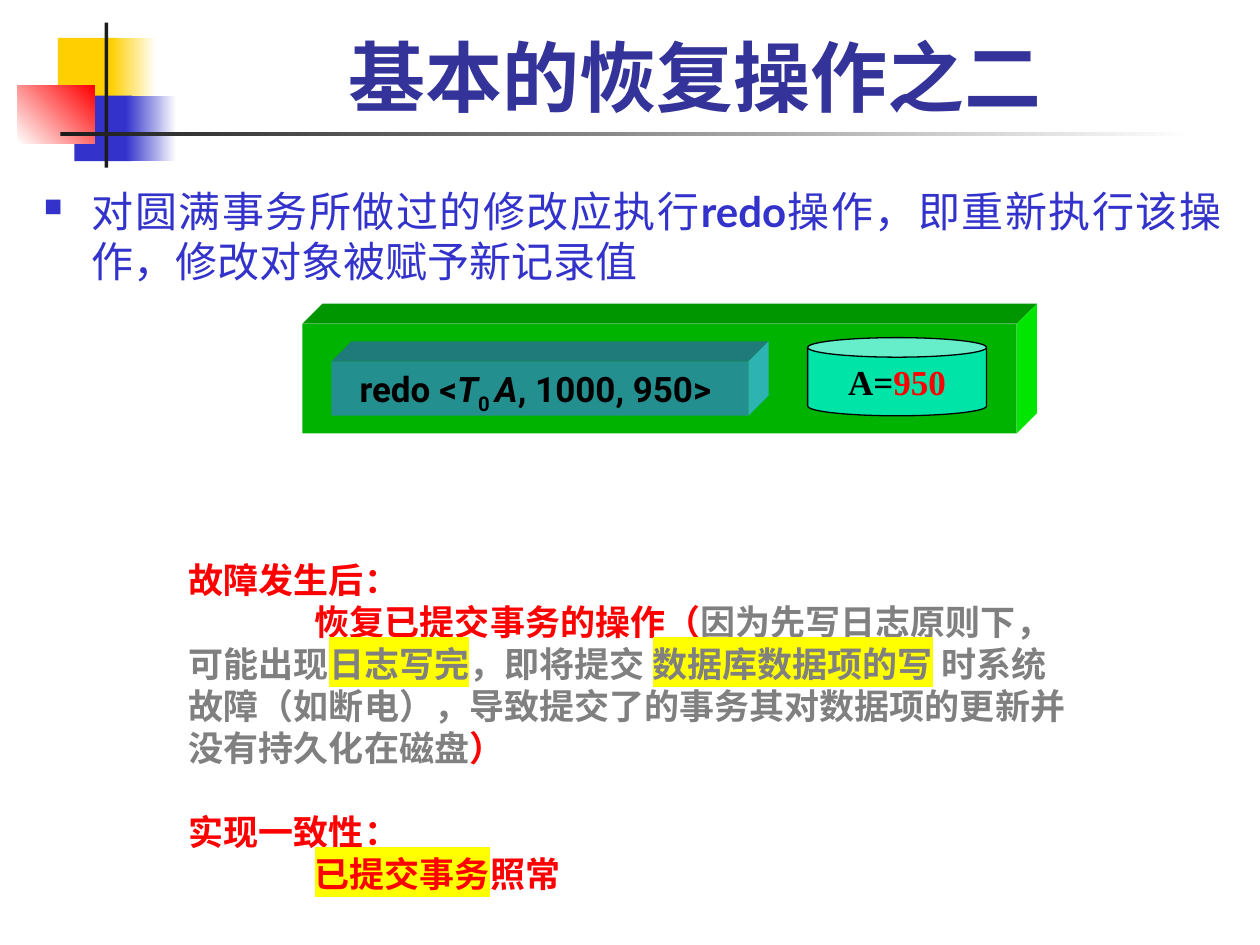
from lxml.etree import SubElement
from pptx import Presentation
from pptx.dml.color import RGBColor
from pptx.enum.shapes import MSO_SHAPE
from pptx.enum.text import MSO_ANCHOR, PP_ALIGN
from pptx.oxml.ns import qn
from pptx.util import Inches, Pt

BLUE, RED, GREY, YELLOW, BLACK = "3333CC", "FF0000", "808080", "FFFF00", "000000"
GOLD, WHITE, DARK = "FFCF01", "FFFFFF", "1C1C1C"

DECOR = [
    ((0.46, 0.3, 0.48, 0.52), GOLD),
    ((0.88, 0.3, 0.36, 0.52), (GOLD, WHITE, 0)),
    ((0.59, 0.76, 0.46, 0.52), BLUE),
    ((1, 0.76, 0.4, 0.52), (BLUE, WHITE, 0)),
    ((0.14, 0.68, 0.61, 0.46), (WHITE, RED, 45)),
    ((0.83, 0.18, 0.03, 1.15), DARK),
    ((0.48, 1.05, 9, 0.03), (DARK, WHITE, 0)),
]
TITLE = [{"runs": [("基本的恢复操作之二", {})]}]
BODY = [{"runs": [
    ("对圆满事务所做过的修改应执行", {}),
    ("redo", {"bold": True}),
    ("操作，即重新执行该操作，修改对象被赋予新记录值", {}),
], "left": 0.38, "first": -0.38, "bullet": "■"}]
REDO = [{"runs": [
    ("redo <", {}),
    ("T", {"italic": True}),
    ("0 ", {"baseline": -25}),
    ("A", {"italic": True}),
    (", 1000, 950> ", {}),
]}]
VALUE = [{"runs": [("A=", {}), ("950", {"color": RED})]}]
NOTES = [
    {"runs": [("故障发生后：", {})]},
    {"runs": [
        ("恢复已提交事务的操作（", {}),
        ("因为先写日志原则下，可能出现", {"color": GREY}),
        ("日志写完", {"color": GREY, "highlight": YELLOW}),
        ("，即将提交 ", {"color": GREY}),
        ("数据库数据项的写", {"color": GREY, "highlight": YELLOW}),
        (" 时系统故障（如断电），导致提交了的事务其对数据项的更新并没有持久化在磁盘", {"color": GREY}),
        ("）", {}),
    ], "first": 1},
    {"runs": [("实现一致性：", {})], "before": 24},
    {"runs": [("已提交事务", {"highlight": YELLOW}), ("照常", {})], "first": 1},
]
DEPTH = 0.16
BLOCKS = [
    ((2.4, 2.57, 5.67, 0.87), ("00B300", "009600", "00E600")),
    ((2.63, 2.87, 3.31, 0.43), ("248F8F", "1F7A7A", "2EB3B3")),
]


def rgb(color):
    return RGBColor.from_string(color)


def paint(sp, fill, line=None):
    sp.shadow.inherit = False
    if isinstance(fill, tuple):
        start, end, angle = fill
        sp.fill.gradient()
        sp.fill.gradient_angle = angle
        for stop, color in zip(sp.fill.gradient_stops, (start, end)):
            stop.color.rgb = rgb(color)
    else:
        sp.fill.solid()
        sp.fill.fore_color.rgb = rgb(fill)
    if line:
        sp.line.color.rgb = rgb(line)
        sp.line.width = Pt(0.75)
    else:
        sp.line.fill.background()
    return sp


def add_box(s, at, fill, kind=MSO_SHAPE.RECTANGLE, line=None):
    return paint(s.shapes.add_shape(kind, *map(Inches, at)), fill, line)


def add_face(s, points, fill):
    points = [(Inches(x), Inches(y)) for x, y in points]
    fb = s.shapes.build_freeform(*points[0])
    fb.add_line_segments(points[1:], close=True)
    return paint(fb.convert_to_shape(), fill)


def add_block(s, at, colors):
    x, y, w, h = at
    front, top, side = colors
    right, bottom, d = x + w, y + h, DEPTH
    add_face(s, [(x, y), (x + d, y - d), (right + d, y - d), (right, y)], top)
    add_face(s, [(right, y), (right + d, y - d), (right + d, bottom - d), (right, bottom)], side)
    return add_box(s, at, front)


def add_run(p, text, font, size, color, bold=False, italic=False, baseline=0, highlight=None):
    r = p.add_run()
    r.text = text
    r.font.name, r.font.size = font, Pt(size)
    r.font.bold, r.font.italic = bold, italic
    r.font.color.rgb = rgb(color)
    rPr = r.font._element
    if baseline:
        rPr.set("baseline", str(baseline * 1000))
    if highlight:
        mark = SubElement(rPr, qn("a:highlight"))
        SubElement(mark, qn("a:srgbClr")).set("val", highlight)
        rPr.find(qn("a:latin")).addprevious(mark)


def write(sp, paragraphs, align=PP_ALIGN.LEFT, anchor=MSO_ANCHOR.TOP, wrap=True, **style):
    tf = sp.text_frame
    tf.word_wrap = wrap
    tf.vertical_anchor = anchor
    for i, item in enumerate(paragraphs):
        p = tf.paragraphs[0] if i == 0 else tf.add_paragraph()
        p.alignment = align
        p.space_before = Pt(item.get("before", 0))
        pPr = p._p.get_or_add_pPr()
        pPr.set("marL", str(Inches(item.get("left", 0))))
        pPr.set("indent", str(Inches(item.get("first", 0))))
        if "bullet" in item:
            color = SubElement(pPr, qn("a:buClr"))
            SubElement(color, qn("a:srgbClr")).set("val", style["color"])
            SubElement(pPr, qn("a:buSzPct")).set("val", "60000")
            SubElement(pPr, qn("a:buChar")).set("char", item["bullet"])
        for text, own in item["runs"]:
            add_run(p, text, **{**style, **own})


def add_text(s, at, paragraphs, **style):
    write(s.shapes.add_textbox(*map(Inches, at)), paragraphs, **style)


def main():
    prs = Presentation()
    prs.slide_width, prs.slide_height = Inches(10), Inches(7.5)
    s = prs.slides.add_slide(prs.slide_layouts[6])
    for at, fill in DECOR:
        add_box(s, at, fill)
    add_text(s, (1.26, 0.18, 8.52, 0.84), TITLE, align=PP_ALIGN.CENTER,
             anchor=MSO_ANCHOR.BOTTOM, font="Lato", size=44, color="333399", bold=True)
    add_text(s, (0.25, 1.42, 9.54, 1), BODY, align=PP_ALIGN.JUSTIFY,
             font="Lato", size=24, color=BLUE)
    outer, inner = [add_block(s, at, colors) for at, colors in BLOCKS]
    write(inner, REDO, align=PP_ALIGN.CENTER, font="Roboto", size=20, color=BLACK, bold=True)
    can = add_box(s, (6.41, 2.68, 1.42, 0.62), "00E4A8", MSO_SHAPE.CAN, BLACK)
    can.adjustments[0] = 0.25
    write(can, VALUE, align=PP_ALIGN.CENTER, anchor=MSO_ANCHOR.MIDDLE, wrap=False,
          font="Times New Roman", size=20, color=BLACK, bold=True)
    add_text(s, (1.4, 4.38, 7.24, 2.79), NOTES,
             font="Times New Roman", size=20, color=RED, bold=True)
    prs.save("out.pptx")


if __name__ == "__main__":
    main()
